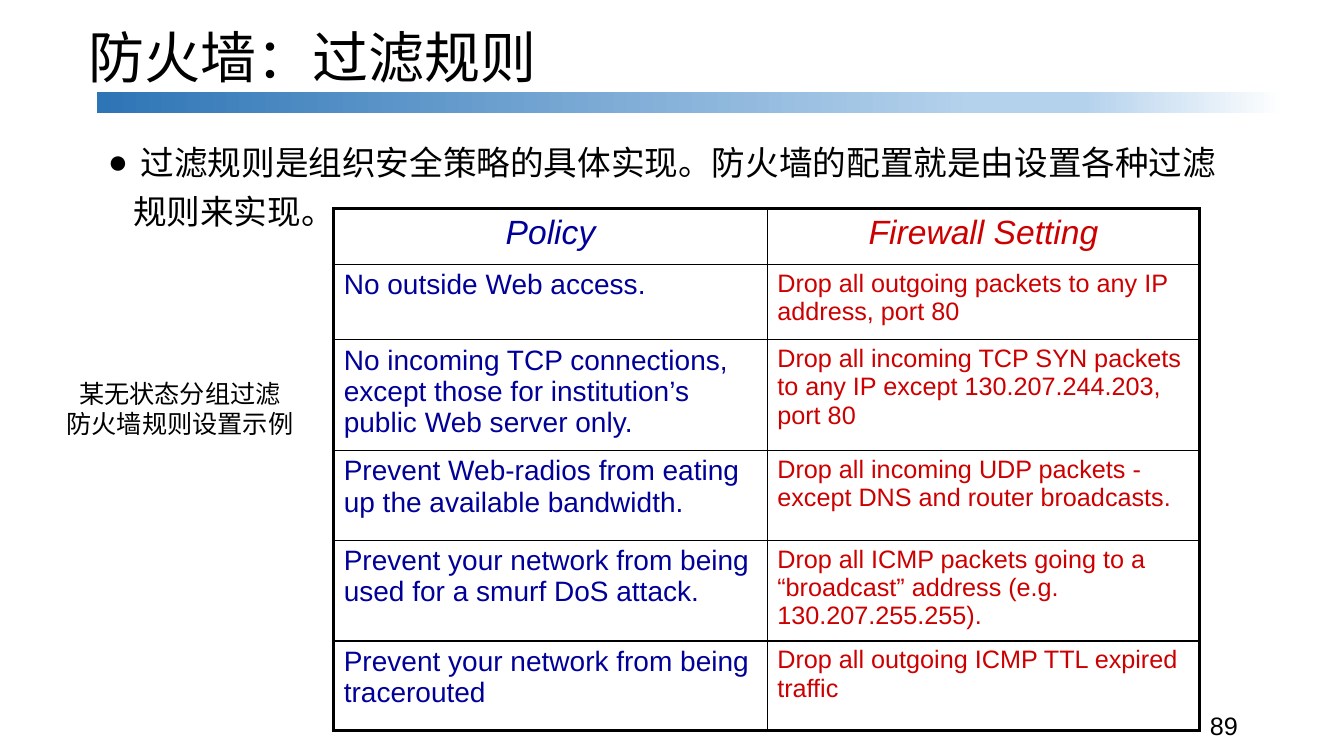
from dataclasses import dataclass

from lxml import etree
from pptx import Presentation
from pptx.dml.color import RGBColor
from pptx.enum import shapes, text
from pptx.oxml.ns import qn
from pptx import util as u

PX = 9144  # 100 px to the inch
BLACK = RGBColor(0x00, 0x00, 0x00)
NAVY = RGBColor(0x00, 0x00, 0x99)
RED = RGBColor(0xCC, 0x00, 0x00)
BLUE = RGBColor(0x2E, 0x75, 0xB6)
PALE_BLUE = RGBColor(0xB5, 0xD2, 0xEC)
WHITE = RGBColor(0xFF, 0xFF, 0xFF)
LATIN = "Arial"
CHINESE = "Noto Sans CJK SC"
THICK, THIN = 2.25, 1


@dataclass(frozen=True)
class Box:
    left: int
    top: int
    width: int
    height: int

    def emu(self) -> tuple[int, ...]:
        return tuple(n * PX for n in (self.left, self.top, self.width, self.height))


@dataclass(frozen=True)
class Rule:
    policy: str
    setting: str
    height: int


RULES = [
    Rule("Policy", "Firewall Setting", 55),
    Rule("No outside Web access.",
         "Drop all outgoing packets to any IP address, port 80", 75),
    Rule("No incoming TCP connections, except those for institution’s public Web server only.",
         "Drop all incoming TCP SYN packets to any IP except 130.207.244.203, port 80", 110),
    Rule("Prevent Web-radios from eating up the available bandwidth.",
         "Drop all incoming UDP packets - except DNS and router broadcasts.", 89),
    Rule("Prevent your network from being used for a smurf DoS attack.",
         "Drop all ICMP packets going to a “broadcast” address (e.g. 130.207.255.255).", 100),
    Rule("Prevent your network from being tracerouted",
         "Drop all outgoing ICMP TTL expired traffic", 89),
]
COLUMN_WIDTHS = (430, 429)
BAR_STOPS = [(0, BLUE), (74, PALE_BLUE), (83, PALE_BLUE), (100, WHITE)]


def add_run(paragraph, words: str, size: int, color: RGBColor = BLACK,
            font: str = LATIN, italic: bool = False) -> None:
    run = paragraph.add_run()
    run.text = words
    run.font.size = u.Pt(size)
    run.font.italic = italic
    run.font.bold = False
    run.font.color.rgb = color
    run.font.name = font
    etree.SubElement(run.font._element, qn("a:ea"), typeface=CHINESE)


def place(shape, box: Box) -> None:
    shape.left, shape.top, shape.width, shape.height = box.emu()


def prepare_placeholder(shape, box: Box, line_spacing: float):
    """Move a placeholder, set its frame and return its first paragraph."""
    place(shape, box)
    frame = shape.text_frame
    frame.auto_size = text.MSO_AUTO_SIZE.NONE
    frame.vertical_anchor = text.MSO_ANCHOR.TOP
    paragraph = frame.paragraphs[0]
    paragraph.alignment = text.PP_ALIGN.LEFT
    paragraph.line_spacing = line_spacing
    return paragraph


def add_body(shape) -> None:
    paragraph = prepare_placeholder(shape, Box(97, 128, 1133, 508), 1.2)
    paragraph.space_before = u.Pt(6)
    properties = paragraph._p.get_or_add_pPr()
    properties.set("marL", str(25 * PX))
    properties.set("indent", str(-25 * PX))
    etree.SubElement(properties, qn("a:buChar"), char="●")
    add_run(paragraph, " 过滤规则是组织安全策略的具体实现。防火墙的配置就是由设置各种过滤规则来实现。", 24)


def add_gradient_bar(slide) -> None:
    bar = slide.shapes.add_shape(shapes.MSO_SHAPE.RECTANGLE, *Box(96, 91, 1179, 21).emu())
    bar.shadow.inherit = False
    bar.line.fill.background()
    bar.fill.gradient()
    bar.fill.gradient_angle = 0
    stops = bar._element.spPr.find(qn("a:gradFill")).find(qn("a:gsLst"))
    for stop in list(stops):
        stops.remove(stop)
    for percent, color in BAR_STOPS:
        stop = etree.SubElement(stops, qn("a:gs"), pos=str(percent * 1000))
        etree.SubElement(stop, qn("a:srgbClr"), val=str(color))


def set_borders(cell, widths: dict[str, float]) -> None:
    properties = cell._tc.get_or_add_tcPr()
    for side, width in widths.items():
        line = etree.SubElement(properties, qn(f"a:ln{side}"), w=str(u.Pt(width)))
        fill = etree.SubElement(line, qn("a:solidFill"))
        etree.SubElement(fill, qn("a:srgbClr"), val=str(BLACK))


def add_rule_table(slide) -> None:
    box = Box(331, 207, sum(COLUMN_WIDTHS), sum(rule.height for rule in RULES))
    table = slide.shapes.add_table(len(RULES), len(COLUMN_WIDTHS), *box.emu()).table
    table.first_row = False
    table.horz_banding = False
    for column, width in zip(table.columns, COLUMN_WIDTHS):
        column.width = width * PX
    for row, rule in enumerate(RULES):
        table.rows[row].height = rule.height * PX
        is_header = row == 0
        entries = ((rule.policy, NAVY, 20), (rule.setting, RED, 18))
        for column, (words, color, size) in enumerate(entries):
            cell = table.cell(row, column)
            set_borders(cell, {
                "L": THICK if column == 0 else THIN,
                "R": THICK if column == len(COLUMN_WIDTHS) - 1 else THIN,
                "T": THICK if is_header else THIN,
                "B": THICK if row == len(RULES) - 1 else THIN,
            })
            cell.fill.background()
            paragraph = cell.text_frame.paragraphs[0]
            if is_header:
                paragraph.alignment = text.PP_ALIGN.CENTER
            add_run(paragraph, words, 24 if is_header else size, color, italic=is_header)


def add_label(slide, box: Box, lines: list[str], font: str, alignment) -> None:
    frame = slide.shapes.add_textbox(*box.emu()).text_frame
    frame.word_wrap = False
    frame.auto_size = text.MSO_AUTO_SIZE.SHAPE_TO_FIT_TEXT
    for index, words in enumerate(lines):
        paragraph = frame.add_paragraph() if index else frame.paragraphs[0]
        paragraph.alignment = alignment
        add_run(paragraph, words, 18, font=font)


def main() -> None:
    presentation = Presentation()
    presentation.slide_width = 1333 * PX
    presentation.slide_height = 750 * PX
    slide = presentation.slides.add_slide(presentation.slide_layouts[1])
    title = prepare_placeholder(slide.shapes.title, Box(78, 25, 1133, 125), 0.9)
    add_run(title, "防火墙：过滤规则", 40)
    add_body(slide.placeholders[1])
    add_gradient_bar(slide)
    add_rule_table(slide)
    add_label(slide, Box(55, 370, 247, 71), ["某无状态分组过滤", "防火墙规则设置示例"],
              CHINESE, text.PP_ALIGN.CENTER)
    add_label(slide, Box(1190, 700, 99, 50), ["89"], LATIN, text.PP_ALIGN.LEFT)
    presentation.save("out.pptx")


if __name__ == "__main__":
    main()
